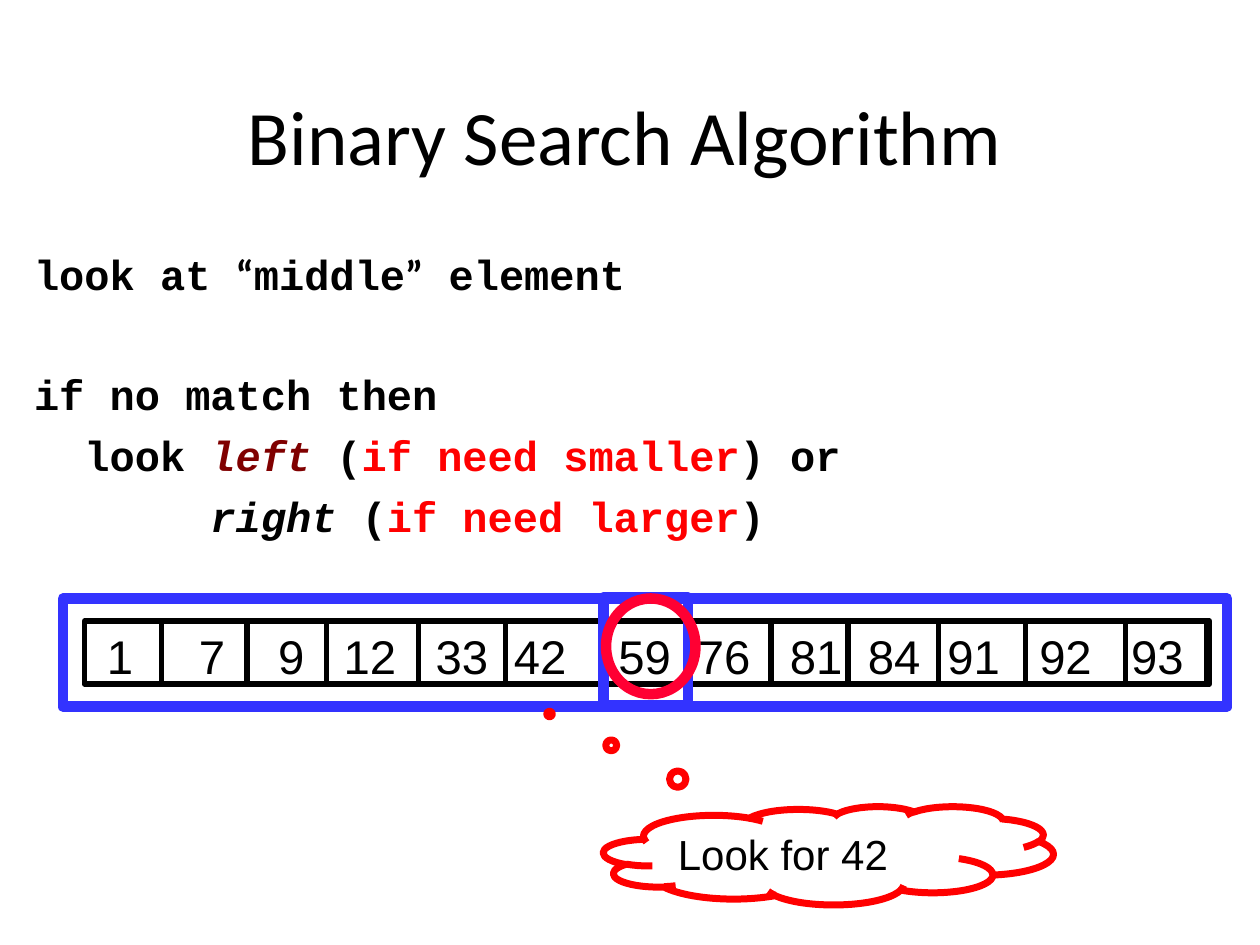
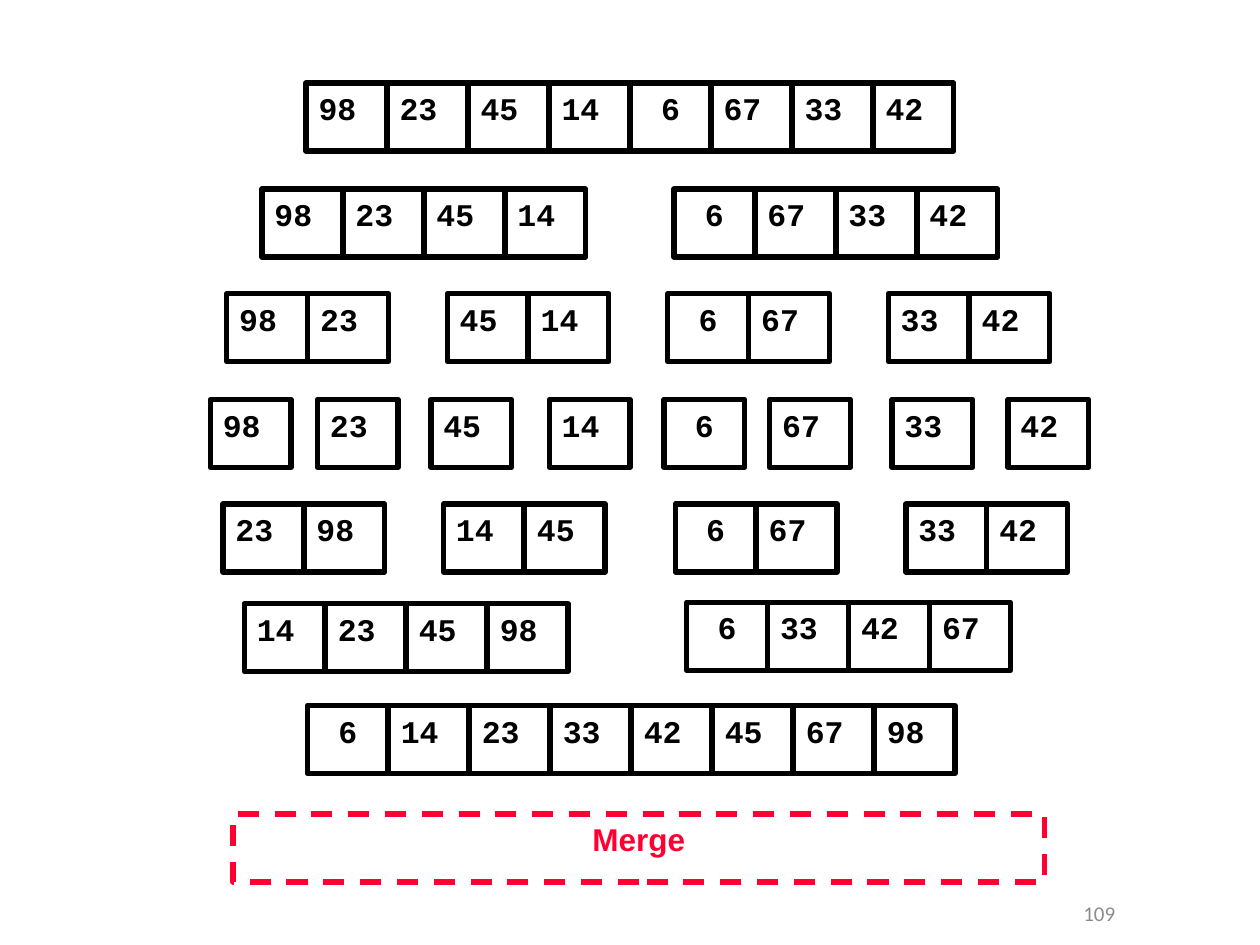
from dataclasses import dataclass
from lxml.etree import SubElement
from pptx import Presentation
from pptx.dml.color import RGBColor as RGB
from pptx.enum.dml import MSO_LINE
from pptx.enum.shapes import MSO_CONNECTOR, MSO_SHAPE as SHAPE
from pptx.enum.text import MSO_ANCHOR as ANCHOR, PP_ALIGN as ALIGN
from pptx.oxml.ns import qn
from pptx.util import Inches, Pt


@dataclass(frozen=True)
class Theme:
    black: RGB = RGB(0, 0, 0)
    grey: RGB = RGB(0x8C, 0x8C, 0x8C)
    blue: RGB = RGB(0x33, 0x33, 0xFF)
    red: RGB = RGB(0xFF, 0, 0)
    crimson: RGB = RGB(0xFF, 0, 0x33)
    maroon: RGB = RGB(0x80, 0, 0)
    sans: str = "Calibri"
    plain: str = "Arial"
    code: str = "Courier New"
    title: int = 44
    array: int = 27
    body: int = 24
    cell: int = 18
    number: int = 12


T = Theme()


def style(p, size, name, color, bold=False, align=ALIGN.LEFT):
    f = p.font
    f.size, f.name, f.bold = Pt(size), name, bold
    f.color.rgb = color
    p.alignment = align


def outline(s, kind, box, color, width):
    sp = s.shapes.add_shape(kind, *map(Inches, box))
    sp.shadow.inherit = False
    sp.fill.background()
    sp.line.color.rgb = color
    sp.line.width = Pt(width)
    sp.text_frame.vertical_anchor = ANCHOR.TOP
    return sp


prs = Presentation()
prs.slide_width, prs.slide_height = Inches(10), Inches(7.5)

s = prs.slides.add_slide(prs.slide_layouts[1])
title, body = s.shapes.title, s.placeholders[1]
for sp, top, height in ((title, 0.42, 1.3), (body, 1.92, 4.67)):
    sp.left, sp.top = Inches(0.17), Inches(top)
    sp.width, sp.height = Inches(9.58), Inches(height)
title.text_frame.text = "Binary Search Algorithm"
style(title.text_frame.paragraphs[0], T.title, T.sans, T.black, align=ALIGN.CENTER)

steps = [
    (0, 6, [("look at ", {}), ("“", {"name": T.sans}), ("middle", {}),
            ("”", {"name": T.sans}), (" element", {})]),
    (0, 40, [("if no match then", {})]),
    (0.4, 6, [("look ", {}), ("left", {"color": T.maroon, "italic": True}), (" (", {}),
              ("if need smaller", {"color": T.red}), (") or", {})]),
    (1.4, 6, [("right", {"italic": True}), (" (", {}),
              ("if need larger", {"color": T.red}), (")", {})]),
]
tf = body.text_frame
for i, (indent, before, runs) in enumerate(steps):
    p = tf.add_paragraph() if i else tf.paragraphs[0]
    style(p, T.body, T.code, T.black, bold=True)
    p.space_before = Pt(before)
    pPr = p._p.get_or_add_pPr()
    pPr.set("marL", str(Inches(indent)))
    pPr.set("indent", "0")
    pPr.insert_element_before(pPr.makeelement(qn("a:buNone")), "a:tabLst", "a:defRPr")
    for text, look in runs:
        r = p.add_run()
        r.text = text
        r.font.size, r.font.bold = Pt(T.body), True
        r.font.name = look.get("name", T.code)
        r.font.italic = look.get("italic", False)
        r.font.color.rgb = look.get("color", T.black)

for left, width in ((0.67, 5.45), (6.12, 3.48)):
    outline(s, SHAPE.RECTANGLE, (left, 4.93, width, 0.5), T.black, 3)
for x in (1.28, 1.96, 2.59, 3.32, 4.01, 4.8, 5.44, 6.73, 7.45, 8.14, 8.93, 9.58):
    line = s.shapes.add_connector(
        MSO_CONNECTOR.STRAIGHT, Inches(x), Inches(4.93), Inches(x), Inches(5.43))
    line.line.color.rgb = T.black
    line.line.width = Pt(3)
    SubElement(line._element.spPr, qn("a:effectLst"))

values = [1, 7, 9, 12, 33, 42, 59, 76, 81, 84, 91, 92, 93]
stops = [0.73, 1.36, 1.88, 2.61, 3.23, 4.06, 4.69, 5.42, 6.04, 6.67, 7.4, 8.13]
tf = s.shapes.add_textbox(Inches(0.75), Inches(4.93), Inches(9.2), Inches(0.56)).text_frame
tf.word_wrap = True
p = tf.paragraphs[0]
p.text = "\t".join(map(str, values))
style(p, T.array, T.plain, T.black)
pPr = p._p.get_or_add_pPr()
tabs = pPr.makeelement(qn("a:tabLst"))
pPr.insert_element_before(tabs, "a:defRPr")
for stop in stops:
    SubElement(tabs, qn("a:tab"), pos=str(Inches(stop)), algn="l")

outline(s, SHAPE.RECTANGLE, (0.5, 4.75, 9.24, 0.86), T.blue, 6)
outline(s, SHAPE.RECTANGLE, (4.79, 4.74, 0.67, 0.86), T.blue, 6)
cloud = outline(s, SHAPE.CLOUD_CALLOUT, (4.79, 6.4, 3.57, 0.78), T.red, 4)
cloud.adjustments[0], cloud.adjustments[1] = -0.62, -1.44
tf = cloud.text_frame
tf.text, tf.word_wrap, tf.vertical_anchor = "Look for 42", False, ANCHOR.MIDDLE
style(tf.paragraphs[0], T.body, T.plain, T.black)
outline(s, SHAPE.OVAL, (4.81, 4.75, 0.71, 0.76), T.crimson, 6)

s = prs.slides.add_slide(prs.slide_layouts[6])
tf = s.shapes.add_textbox(Inches(8.5), Inches(7), Inches(1.5), Inches(0.5)).text_frame
tf.text, tf.word_wrap, tf.vertical_anchor = "109", True, ANCHOR.MIDDLE
style(tf.paragraphs[0], T.number, T.sans, T.grey)

pitch = 4.5 / 7
arrays = [
    (0.66, [(2.43, [98, 23, 45, 14, 6, 67, 33, 42])]),
    (1.5, [(2.08, [98, 23, 45, 14]), (5.35, [6, 67, 33, 42])]),
    (2.33, [(1.8, [98, 23]), (3.55, [45, 14]), (5.3, [6, 67]), (7.05, [33, 42])]),
    (3.17, [(1.67, [98]), (2.52, [23]), (3.42, [45]), (4.36, [14]),
            (5.27, [6]), (6.11, [67]), (7.08, [33]), (8, [42])]),
    (4, [(1.77, [23, 98]), (3.52, [14, 45]), (5.36, [6, 67]), (7.19, [33, 42])]),
    (4.79, [(1.94, [14, 23, 45, 98])]),
    (4.78, [(5.45, [6, 33, 42, 67])]),
    (5.6, [(2.44, [6, 14, 23, 33, 42, 45, 67, 98])]),
]
for top, groups in arrays:
    for left, numbers in groups:
        for i, n in enumerate(numbers):
            cell = outline(s, SHAPE.RECTANGLE, (left + i * pitch, top, 0.64, 0.54), T.black, 3)
            tf = cell.text_frame
            tf.text, tf.word_wrap = str(n), False
            align = ALIGN.CENTER if n < 10 else ALIGN.LEFT
            style(tf.paragraphs[0], T.cell, T.code, T.black, True, align)

merge = outline(s, SHAPE.RECTANGLE, (1.85, 6.46, 6.44, 0.54), T.crimson, 3)
merge.line.dash_style = MSO_LINE.DASH
merge.text_frame.text = "Merge"
style(merge.text_frame.paragraphs[0], T.cell, T.plain, T.crimson, True, ALIGN.CENTER)

prs.save("out.pptx")
